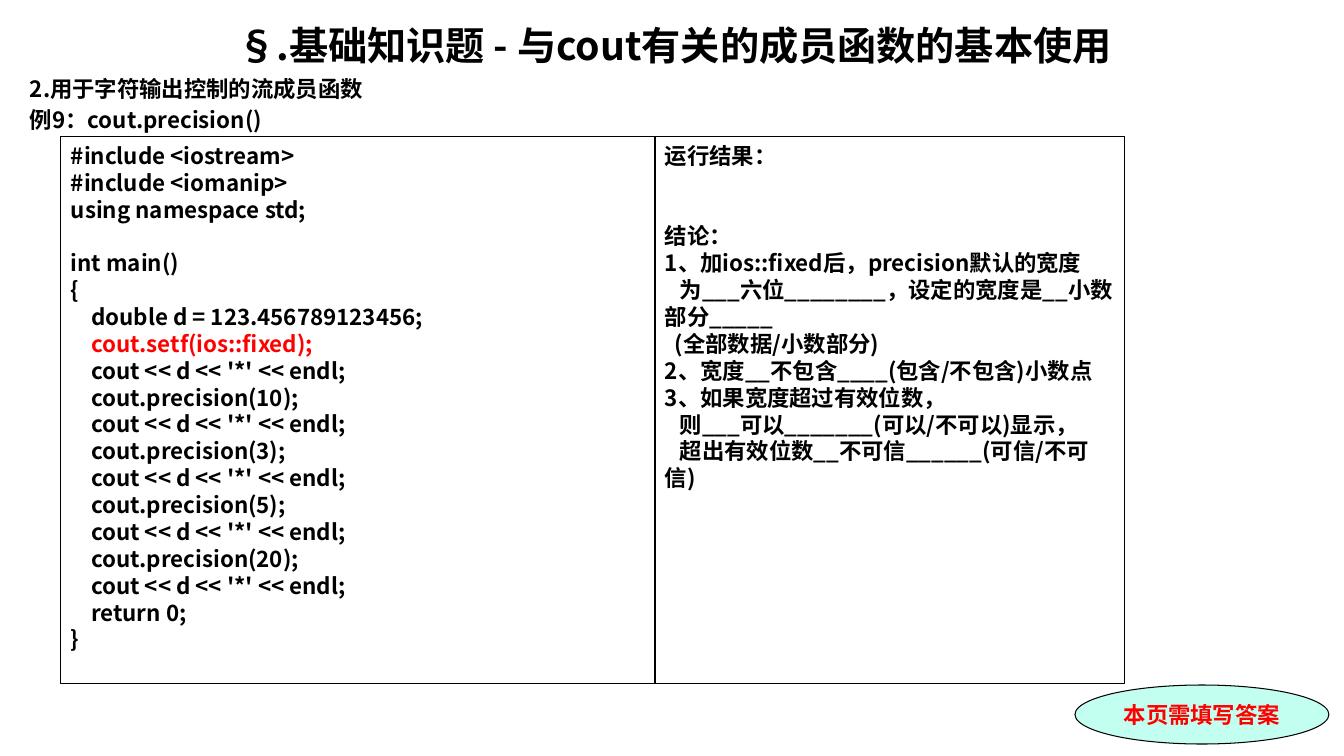
from pptx import Presentation
from pptx.dml.color import RGBColor
from pptx.enum.shapes import MSO_SHAPE
from pptx.enum.text import MSO_ANCHOR, MSO_AUTO_SIZE, PP_ALIGN
from pptx.oxml.ns import qn
from pptx.util import Pt
from lxml.etree import SubElement

CODE = """#include <iostream>
#include <iomanip>
using namespace std;
int main()
{
    double d = 123.456789123456;
    cout.setf(ios::fixed);
    cout << d << '*' << endl;
    cout.precision(10);
    cout << d << '*' << endl;
    cout.precision(3);
    cout << d << '*' << endl;
    cout.precision(5);
    cout << d << '*' << endl;
    cout.precision(20);
    cout << d << '*' << endl;
    return 0;
}""".split("\n")

RESULTS = [
    ("运行结果：", 0),
    ("结论：", 0),
    ("1、加ios::fixed后，precision默认的宽度", 0),
    ("为___六位________，设定的宽度是__小数部分_____", 15),
    ("(全部数据/小数部分)", 10),
    ("2、宽度__不包含____(包含/不包含)小数点", 0),
    ("3、如果宽度超过有效位数，", 0),
    ("则___可以_______(可以/不可以)显示，", 15),
    ("超出有效位数__不可信______(可信/不可信)", 15),
]


class Slide:
    SCALE = 12192000 / 1344
    FONT = "Noto Sans CJK SC"
    LINE = 19.2
    COLORS = {"ink": "000000", "red": "FF0000", "mint": "C2FFF0"}

    def __init__(self, prs):
        prs.slide_width, prs.slide_height = self.px(1344), self.px(756)
        self.s = prs.slides.add_slide(prs.slide_layouts[5])

    def px(self, n):
        return round(n * self.SCALE)

    def color(self, name):
        return RGBColor.from_string(self.COLORS[name])

    def place(self, box):
        return [self.px(n) for n in box]

    def paragraph(self, p, text, size=16, color="ink", font=FONT, align=PP_ALIGN.LEFT,
                  line=None, before=0, indent=0):
        p.text = text
        p.alignment = align
        p.space_before = Pt(before)
        if line:
            p.line_spacing = Pt(line)
        if indent:
            p._p.get_or_add_pPr().set("indent", str(self.px(indent)))
        f = p.font
        f.size, f.bold, f.name = Pt(size), True, font
        f.color.rgb = self.color(color)
        SubElement(f._element, qn("a:ea")).set("typeface", self.FONT)

    def frame(self, tf, paragraphs, anchor=MSO_ANCHOR.TOP):
        tf.word_wrap = True
        tf.auto_size = MSO_AUTO_SIZE.NONE
        tf.vertical_anchor = anchor
        for i, (text, style) in enumerate(paragraphs):
            p = tf.paragraphs[0] if i == 0 else tf.add_paragraph()
            self.paragraph(p, text, **style)

    def title(self, box, text):
        sp = self.s.shapes.title
        sp.left, sp.top, sp.width, sp.height = self.place(box)
        sp.text_frame.margin_top = sp.text_frame.margin_bottom = 0
        style = {"size": 28, "align": PP_ALIGN.CENTER}
        self.frame(sp.text_frame, [(text, style)], MSO_ANCHOR.MIDDLE)

    def text(self, box, paragraphs):
        sp = self.s.shapes.add_textbox(*self.place(box))
        self.frame(sp.text_frame, paragraphs)

    def shape(self, kind, box, paragraphs, fill=None, anchor=MSO_ANCHOR.TOP):
        sp = self.s.shapes.add_shape(kind, *self.place(box))
        sp.shadow.inherit = False
        if fill:
            sp.fill.solid()
            sp.fill.fore_color.rgb = self.color(fill)
        else:
            sp.fill.background()
        sp.line.color.rgb = self.color("ink")
        sp.line.width = Pt(0.75)
        self.frame(sp.text_frame, paragraphs, anchor)


def main():
    prs = Presentation()
    s = Slide(prs)
    line = s.LINE

    s.title((20, 16, 1309, 58), "§.基础知识题 - 与cout有关的成员函数的基本使用")
    s.text((20, 70, 1309, 66), [
        ("2.用于字符输出控制的流成员函数", {"line": line}),
        ("例9：cout.precision()", {"line": line, "before": 3.2}),
    ])

    code = [(text, {"line": line,
                    "before": line if text == "int main()" else 0,
                    "color": "red" if "setf" in text else "ink"}) for text in CODE]
    s.shape(MSO_SHAPE.RECTANGLE, (61, 137, 594, 547), code)

    s.shape(MSO_SHAPE.OVAL, (1075, 685, 254, 59), [
        ("本页需填写答案", {"color": "red", "font": "Times New Roman",
                    "align": PP_ALIGN.CENTER}),
    ], "mint", MSO_ANCHOR.MIDDLE)

    results = [(text, {"line": line, "indent": indent,
                       "before": 2 * line if text == "结论：" else 0})
               for text, indent in RESULTS]
    s.shape(MSO_SHAPE.RECTANGLE, (655, 137, 470, 547), results)

    prs.save("out.pptx")


if __name__ == "__main__":
    main()
